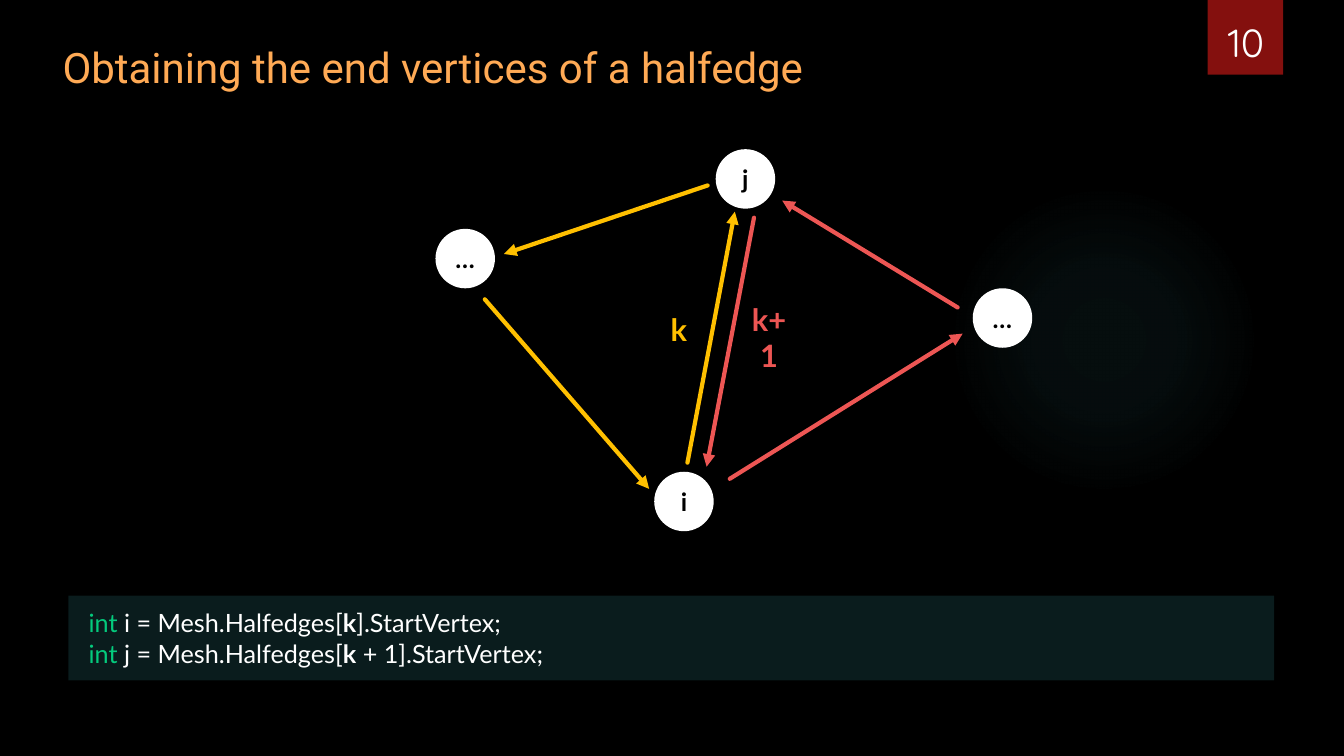
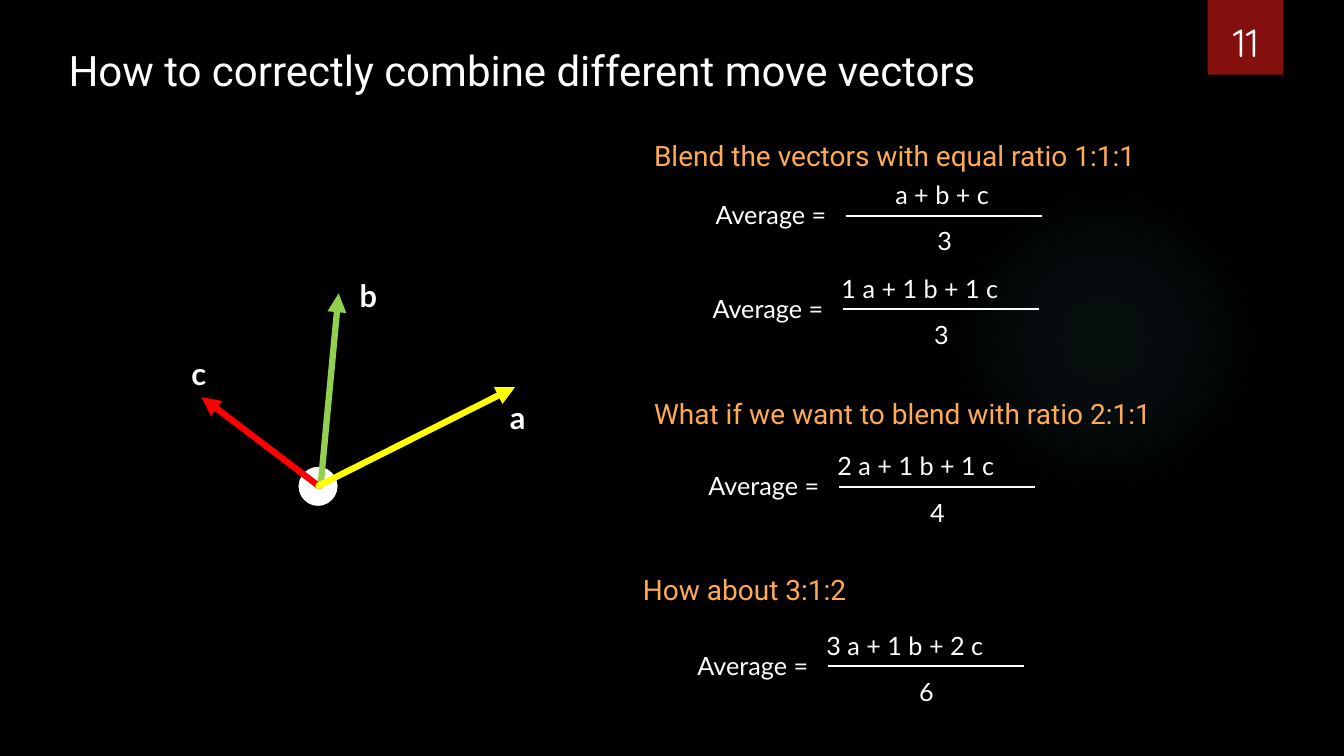
from dataclasses import dataclass

from pptx import Presentation, util as u
from pptx.dml.color import RGBColor
from pptx.enum import shapes as kinds, text as tx
from pptx.oxml import parse_xml
from pptx.oxml.ns import nsdecls, qn

CELL = 0.1          # inches in one column or row
COLS, ROWS = 133.33, 75
NODE = 5.9          # width of a graph node, in columns
OVAL, RECT = kinds.MSO_SHAPE.OVAL, kinds.MSO_SHAPE.RECTANGLE
MID = tx.PP_ALIGN.CENTER


@dataclass(frozen=True)
class Theme:
    black: str = "000000"
    white: str = "FFFFFF"
    orange: str = "FFAA55"
    badge: str = "84100E"
    glow: str = "50B9C1"
    panel: str = "0F282A"
    green: str = "04CA7D"
    gold: str = "FFC000"
    coral: str = "ED5654"
    red: str = "FF0000"
    lime: str = "92D050"
    yellow: str = "FFFF00"
    head: str = "Roboto"
    body: str = "Lato"
    digit: str = "Quicksand"
    title: int = 30
    page: int = 28
    label: int = 22
    lead: int = 20
    text: int = 18


T = Theme()


# Basic helpers
def grid(*cells):
    return [u.Inches(cell * CELL) for cell in cells]


def rgb(ink):
    return RGBColor.from_string(ink)


def node(tag, attrs="", inner=""):
    return parse_xml(f"<a:{tag} {nsdecls('a')} {attrs}>{inner}</a:{tag}>")


def write(shape, lines, size=T.text, font=T.body, ink=T.white, bold=False,
          align=tx.PP_ALIGN.LEFT, anchor=tx.MSO_ANCHOR.TOP, wrap=True,
          grow=False, pad=(1, 0.5)):
    """Lines is a string, or a list of lines of (text, ink, bold) runs."""
    frame = shape.text_frame
    fit = tx.MSO_AUTO_SIZE
    frame.auto_size = fit.SHAPE_TO_FIT_TEXT if grow else fit.NONE
    frame.word_wrap, frame.vertical_anchor = wrap, anchor
    side, edge = grid(*pad)
    frame.margin_left = frame.margin_right = side
    frame.margin_top = frame.margin_bottom = edge
    if isinstance(lines, str):
        lines = [[(lines, ink, bold)]]
    for n, line in enumerate(lines):
        para = frame.add_paragraph() if n else frame.paragraphs[0]
        para.alignment = align
        for words, tint, heavy in line:
            run = para.add_run()
            run.text = words
            run.font.name, run.font.size = font, u.Pt(size)
            run.font.bold = heavy
            run.font.color.rgb = rgb(tint)


def label(slide, box, words, **style):
    write(slide.shapes.add_textbox(*grid(*box)), words,
          **{"grow": True, **style})


def form(slide, kind, box, fill=None):
    shape = slide.shapes.add_shape(kind, *grid(*box))
    shape.shadow.inherit = False
    shape.line.fill.background()
    if fill:
        shape.fill.solid()
        shape.fill.fore_color.rgb = rgb(fill)
    else:
        shape.fill.background()
    return shape


def shade(shape, blur, dist):
    glow = shape.element.spPr.find(qn("a:effectLst"))
    glow.append(node(
        "outerShdw",
        f'blurRad="{u.Pt(blur)}" dist="{u.Pt(dist)}" dir="2700000"',
        f'<a:srgbClr val="{T.black}"><a:alpha val="40000"/></a:srgbClr>'))


def stroke(slide, ends, ink, width, arrow=False):
    line = slide.shapes.add_connector(
        kinds.MSO_CONNECTOR.STRAIGHT, *grid(*ends))
    line.line.color.rgb = rgb(ink)
    line.line.width = u.Pt(width)
    props = line.element.spPr
    if arrow:
        edge = props.find(qn("a:ln"))
        edge.set("cap", "rnd")
        edge.append(node("tailEnd", 'type="triangle"'))
    props.append(node("effectLst"))


# Shared look
def dress(deck, slide):
    """Give the master its backdrop, glow and page badge."""
    master = deck.slide_master
    master.background.fill.solid()
    master.background.fill.fore_color.rgb = rgb(T.black)
    glow = form(slide, OVAL, (94.1, 18.3, 30.8, 30.8))
    stops = "".join(
        f'<a:gs pos="{pos}000"><a:srgbClr val="{T.glow}">'
        f'<a:alpha val="{alpha}000"/></a:srgbClr></a:gs>'
        for pos, alpha in ((0, 7), (36, 6), (69, 0)))
    props = glow.element.spPr
    props.replace(props.find(qn("a:noFill")), node(
        "gradFill", "", f'<a:gsLst>{stops}</a:gsLst><a:path path="circle">'
        '<a:fillToRect l="50000" t="50000" r="50000" b="50000"/></a:path>'))
    badge = form(slide, RECT, (119.8, 0, 7.5, 7.4), T.badge)
    shade(badge, 12, 5)
    for key, shape in enumerate((glow, badge), 20):
        shape.element.nvSpPr.cNvPr.set("id", str(key))
        master.shapes.element.append(shape.element)


def start(deck, page, title, spot, ink):
    slide = deck.slides.add_slide(deck.slide_layouts.get_by_name("Title Only"))
    head = slide.shapes.title
    head.left, head.top, head.width, head.height = grid(*spot, 110, 6.1)
    write(head, title, size=T.title, font=T.head, ink=ink)
    label(slide, (119, -1.4, 9.2, 8.4), page, size=T.page, font=T.digit,
          align=MID, anchor=tx.MSO_ANCHOR.BOTTOM, grow=False)
    return slide


# Halfedge slide
def disc(slide, spot, words, wide=NODE, fill=None, **style):
    write(form(slide, OVAL, (*spot, wide, NODE), fill), words, bold=True,
          align=MID, anchor=tx.MSO_ANCHOR.MIDDLE, **style)


def mesh(slide):
    for words, *spot in (("…", 43.2, 22.7), ("j", 71, 14.8),
                         ("i", 64.9, 46.8), ("…", 96.5, 28.6)):
        disc(slide, spot, words, fill=T.white, ink=T.black)
    loops = {
        T.gold: ((68.2, 45.9, 72.9, 21), (70.2, 18.4, 50, 25.2),
                 (48.1, 29.7, 64.4, 48.5)),
        T.coral: ((74.8, 21.6, 70.1, 46.3), (72.4, 47.5, 95.5, 33.1),
                  (95, 30.5, 77.6, 19.9)),
    }
    for ink, edges in loops.items():
        for ends in edges:
            stroke(slide, ends, ink, 3, arrow=True)
    disc(slide, (64.4, 29.7), "k", ink=T.gold, size=T.label)
    disc(slide, (71.5, 30.5), "k+1", wide=9.6, ink=T.coral, size=T.label)


def code(slide):
    panel = form(slide, RECT, (6.8, 59.1, 119.6, 8.4), T.panel)
    tint = panel.element.spPr.find(".//" + qn("a:srgbClr"))
    tint.append(node("alpha", 'val="70000"'))
    shade(panel, 6, 6)
    lines = [[("int", T.green, False),
              (f" {name} = Mesh.Halfedges[", T.white, False),
              ("k", T.white, True),
              (f"{step}].StartVertex;", T.white, False)]
             for name, step in (("i", ""), ("j", " + 1"))]
    write(panel, lines, pad=(2, 1.2), grow=True)


# Vector slide
def fan(slide):
    dot = form(slide, OVAL, (29.5, 46.2, 4.1, 4.1), T.white)
    dot.line.color.rgb = rgb(T.black)
    dot.line.width = u.Pt(1.5)
    for name, ink, ends, spot in (
            ("c", T.red, (31.6, 48.2, 20, 39.4), (18, 34.7)),
            ("b", T.lime, (31.8, 48.2, 33.6, 29.1), (34.7, 27)),
            ("a", T.yellow, (31.6, 48.2, 51.1, 38.4), (49.6, 39.1))):
        stroke(slide, ends, ink, 4.5, arrow=True)
        label(slide, (*spot, 3.6, 4.7), name, size=T.label, bold=True,
              wrap=False)


def ratio(slide, left, row, top, base, **style):
    """Write an average as a fraction; its bar starts at left, row."""
    label(slide, (left - 13.9, row - 2.1, 13.9, 4), "Average =")
    label(slide, (left - 1.1, row - 4.1, 20.7, 4), top, **style)
    stroke(slide, (left, row, left + 19.5, row), T.white, 1.5)
    label(slide, (left + 8.1, row + 0.5, 3.3, 4), base, wrap=False)


def blends(slide):
    for left, row, words in (
            (63.9, 13.2, "Blend the vectors with equal ratio 1:1:1"),
            (63.9, 38.8, "What if we want to blend with ratio 2:1:1"),
            (62.8, 56.3, "How about 3:1:2")):
        label(slide, (left, row, 61.7, 4.4), words, size=T.lead,
              font=T.head, ink=T.orange)
    ratio(slide, 83.9, 21.4, " a + b + c", "3", align=MID)
    ratio(slide, 83.6, 30.7, "1 a + 1 b + 1 c", "3")
    ratio(slide, 83.2, 48.3, "2 a + 1 b + 1 c", "4")
    ratio(slide, 82.1, 66.1, "3 a + 1 b + 2 c", "6")


def main():
    deck = Presentation()
    deck.slide_width, deck.slide_height = grid(COLS, ROWS)

    first = start(deck, "10", "Obtaining the end vertices of a halfedge",
                  (5.2, 3.6), T.orange)
    dress(deck, first)
    mesh(first)
    code(first)

    second = start(deck, "11",
                   "How to correctly combine different move vectors",
                   (5.8, 3.9), T.white)
    fan(second)
    blends(second)
    deck.save("out.pptx")


if __name__ == "__main__":
    main()
